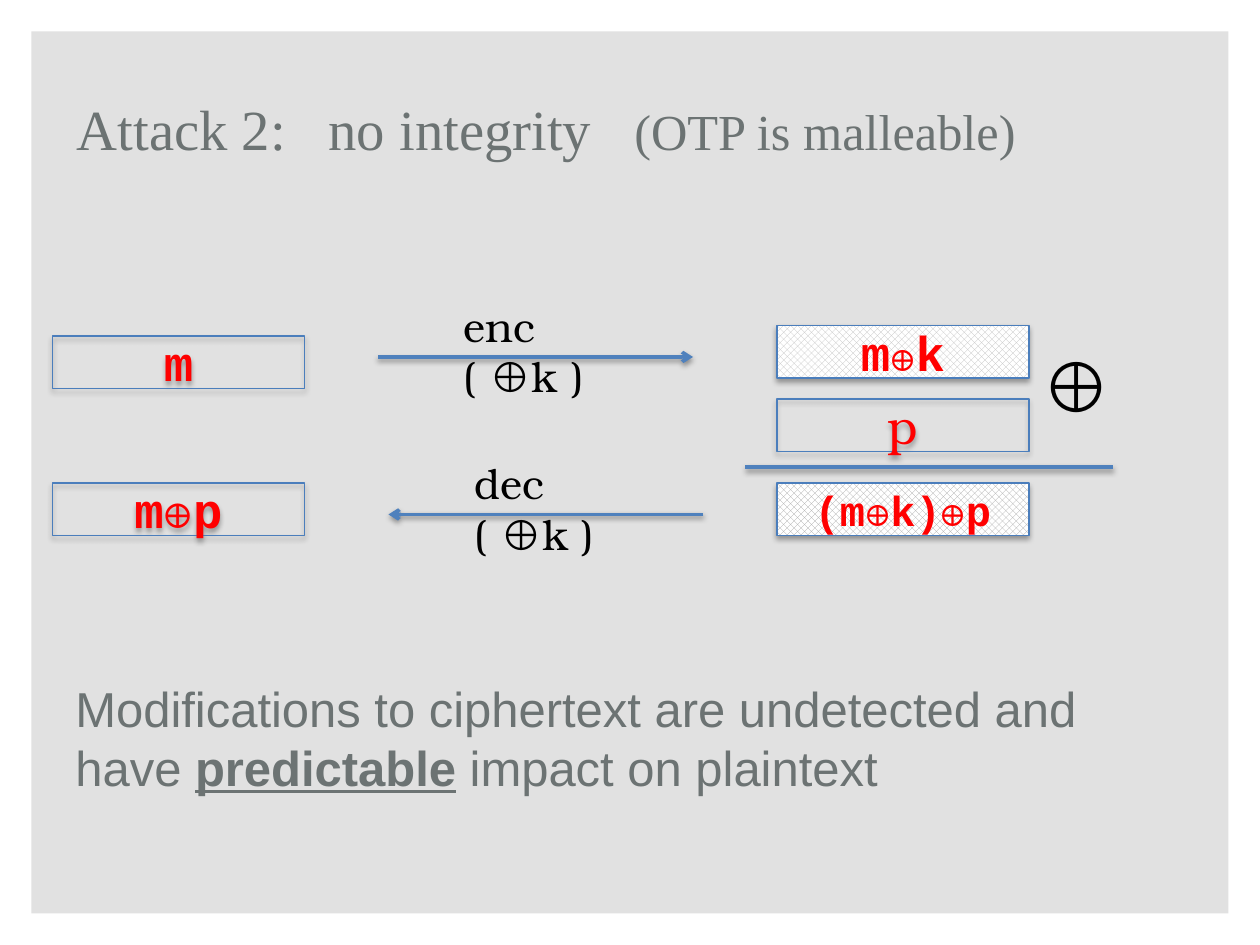
from lxml import etree
from pptx import Presentation
from pptx.dml.color import RGBColor
from pptx.enum.dml import MSO_PATTERN
from pptx.enum.shapes import MSO_CONNECTOR, MSO_SHAPE
from pptx.enum.text import MSO_ANCHOR, PP_ALIGN
from pptx.oxml.ns import qn
from pptx.util import Inches, Pt

RECT, LINE = MSO_SHAPE.RECTANGLE, MSO_CONNECTOR.STRAIGHT
CHECK, MID = MSO_PATTERN.LARGE_CHECKER_BOARD, MSO_ANCHOR.MIDDLE
LEFT, MIDST = PP_ALIGN.LEFT, PP_ALIGN.CENTER

HUES = {"panel": "E1E1E1", "gray": "6C7373", "red": "FF0000", "ink": "000000",
        "edge": "4B7EBC", "wire": "4F81BD", "white": "FFFFFF",
        "light": "BFBFBF", "dark": "A6A6A6"}
SERIF, SANS, MONO, BOOK = "Times New Roman", "Arial", "Courier New", "TeX Gyre Bonum"

# text, size, bold, underline
TITLE = [("Attack 2:   no integrity   ", 32.4), ("(OTP is malleable)", 28.8)]
CLAIM = [("Modifications to ciphertext are undetected and ", 28), None, ("have ", 28),
         ("predictable", 28, True, True), (" impact on plaintext", 28)]
BOXES = [
    (5, 32, None, MONO, [("m", 28, True)]),
    (74, 31, "light", MONO, [("m", 28, True), ("⊕", 24, True), ("k", 28, True)]),
    (5, 46, None, MONO, [("m⊕p", 28, True)]),
    (74, 38, None, BOOK, [("p", 28)]),
    (74, 46, "dark", MONO, [("(m⊕k)⊕p", 24, True)]),
]
WIRES = [(36, 66, 34, True), (67, 37, 49, True), (71, 106, 44.5, False)]
LABELS = [(43, 28, 22, 6, "enc  ( ⊕k )", 24), (44, 43, 21, 6, "dec ( ⊕k )", 24),
          (98, 32, 9, 9, "⊕", 40)]


def hue(name):
    return RGBColor.from_string(HUES[name])


def grid(*cells):
    return [Inches(c / 12) for c in cells]


def write(frame, runs, font, tint, align=LEFT):
    frame.word_wrap = True
    para = frame.paragraphs[0]
    para.alignment = align
    for item in runs:
        if item is None:
            para.add_line_break()
            continue
        text, size, bold, under = (*item, False, False)[:4]
        run = para.add_run()
        run.text = text
        face = run.font
        face.name, face.size, face.bold, face.underline = font, Pt(size), bold, under
        face.color.rgb = hue(tint)
    return para


def shade(shape, alpha, dist):
    fx = etree.SubElement(shape._element.spPr, qn("a:effectLst"))
    drop = etree.SubElement(fx, qn("a:outerShdw"), blurRad=str(Pt(3.1)),
                            dist=str(Pt(dist)), dir="5400000", rotWithShape="0")
    tone = etree.SubElement(drop, qn("a:srgbClr"), val=HUES["ink"])
    etree.SubElement(tone, qn("a:alpha"), val=str(alpha * 1000))


def add_box(shapes, left, top, check, font, runs):
    box = shapes.add_shape(RECT, *grid(left, top, 24, 5))
    if check:
        box.fill.patterned()
        box.fill.pattern = CHECK
        box.fill.fore_color.rgb, box.fill.back_color.rgb = hue(check), hue("white")
    else:
        box.fill.background()
    box.line.color.rgb, box.line.width = hue("edge"), Pt(0.75)
    shade(box, 35, 1.8)
    box.text_frame.vertical_anchor = MID
    write(box.text_frame, runs, font, "red", MIDST)


def add_wire(shapes, start, end, row, arrow):
    wire = shapes.add_connector(LINE, *grid(start, row, end, row))
    wire.line.color.rgb, wire.line.width = hue("wire"), Pt(2)
    if arrow:
        etree.SubElement(wire.line._get_or_add_ln(), qn("a:tailEnd"), type="arrow")
    shade(wire, 38, 1.6)


def main():
    deck = Presentation()
    deck.slide_width, deck.slide_height = Inches(10), Inches(7.5)
    slide = deck.slides.add_slide(deck.slide_layouts[5])
    shapes = slide.shapes

    panel = shapes.add_shape(RECT, *grid(3, 3, 114, 84))
    panel.shadow.inherit = False
    panel.fill.solid()
    panel.fill.fore_color.rgb = hue("panel")
    panel.line.fill.background()
    shapes._spTree.insert(2, panel._element)

    title = shapes.title
    title.left, title.top, title.width, title.height = map(Inches, (0.51, 0.48, 7.91, 1.07))
    title.text_frame.vertical_anchor = MID
    write(title.text_frame, TITLE, SERIF, "gray")

    claim = shapes.add_textbox(*grid(6, 64, 108, 13))
    write(claim.text_frame, CLAIM, SANS, "gray").space_before = Pt(5.6)

    for box in BOXES:
        add_box(shapes, *box)
    for wire in WIRES:
        add_wire(shapes, *wire)
    for *place, text, size in LABELS:
        label = shapes.add_textbox(*grid(*place))
        write(label.text_frame, [(text, size)], BOOK, "ink")

    deck.save("out.pptx")


if __name__ == "__main__":
    main()
